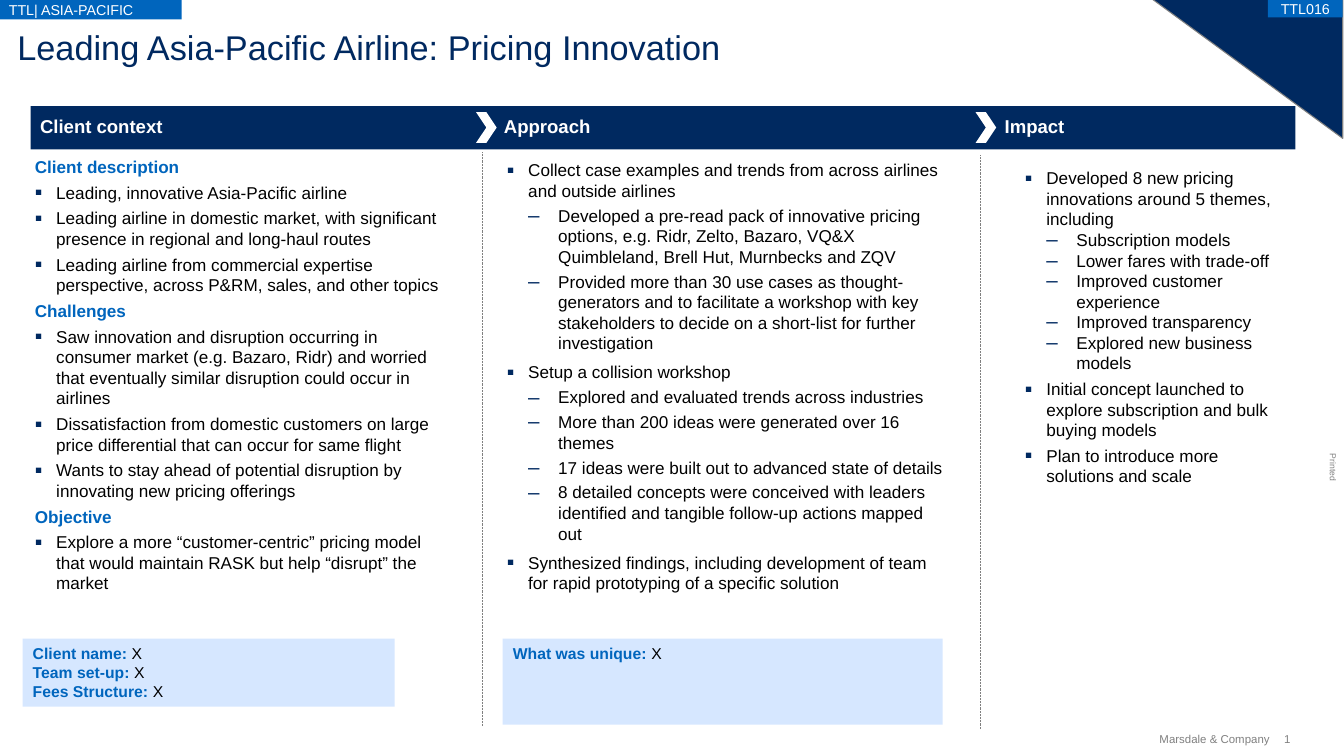
import pptx
import pptx.util
import pptx.dml.color
import pptx.enum.dml
import pptx.enum.shapes
import pptx.enum.text
import lxml.etree

Cm = pptx.util.Cm
Pt = pptx.util.Pt
Kind = pptx.enum.shapes.MSO_SHAPE
Align = pptx.enum.text.PP_ALIGN
Anchor = pptx.enum.text.MSO_ANCHOR

NAVY, BLUE, PALE = "002960", "0065BD", "D6E7FF"
GRAY, BLACK, WHITE = "808080", "000000", "FFFFFF"
MARKS = {1: ("▪", 125, 0.53, 0.53), 2: ("–", 120, 1.27, 0.74)}

CLIENT = [
    (0, "Client description"),
    (1, "Leading, innovative Asia-Pacific airline"),
    (1, "Leading airline in domestic market, with significant presence in regional and long-haul routes"),
    (1, "Leading airline from commercial expertise perspective, across P&RM, sales, and other topics"),
    (0, "Challenges"),
    (1, "Saw innovation and disruption occurring in consumer market (e.g. Bazaro, Ridr) and worried "
        "that eventually similar disruption could occur in airlines"),
    (1, "Dissatisfaction from domestic customers on large price differential that can occur for same flight"),
    (1, "Wants to stay ahead of potential disruption by innovating new pricing offerings"),
    (0, "Objective"),
    (1, "Explore a more “customer-centric” pricing model that would maintain RASK but help “disrupt” the market"),
]
APPROACH = [
    (1, "Collect case examples and trends from across airlines and outside airlines"),
    (2, "Developed a pre-read pack of innovative pricing options, e.g. Ridr, Zelto, Bazaro, VQ&X "
        "Quimbleland, Brell Hut, Murnbecks and ZQV"),
    (2, "Provided more than 30 use cases as thought-generators and to facilitate a workshop with key "
        "stakeholders to decide on a short-list for further investigation"),
    (1, "Setup a collision workshop"),
    (2, "Explored and evaluated trends across industries"),
    (2, "More than 200 ideas were generated over 16 themes"),
    (2, "17 ideas were built out to advanced state of details"),
    (2, "8 detailed concepts were conceived with leaders identified and tangible follow-up actions mapped out"),
    (1, "Synthesized findings, including development of team for rapid prototyping of a specific solution"),
]
IMPACT = [
    (1, "Developed 8 new pricing innovations around 5 themes, including"),
    (2, "Subscription models"),
    (2, "Lower fares with trade-off"),
    (2, "Improved customer experience"),
    (2, "Improved transparency"),
    (2, "Explored new business models"),
    (1, "Initial concept launched to explore subscription and bulk buying models"),
    (1, "Plan to introduce more solutions and scale"),
]


def paint(color, code):
    color.rgb = pptx.dml.color.RGBColor.from_string(code)


def style(font, size, code=None, bold=False):
    font.name = "Arial"
    font.size = Pt(size)
    font.bold = bold
    if code:
        font.fill.solid()
        paint(font.fill.fore_color, code)


def add_tag(parent, name, **attrs):
    return lxml.etree.SubElement(parent, pptx.oxml.ns.qn("a:" + name), attrs)


def add_mark(para, level):
    sign, scale, left, hang = MARKS[level]
    props = para._p.get_or_add_pPr()
    props.set("marL", str(Cm(left)))
    props.set("indent", str(-Cm(hang)))
    add_tag(add_tag(props, "buClr"), "srgbClr", val=NAVY)
    add_tag(props, "buSzPct", val=str(scale * 1000))
    add_tag(props, "buFont", typeface="Arial")
    add_tag(props, "buChar", char=sign)


def add_frame(slide, x, y, w, h, wrap=True):
    box = slide.shapes.add_textbox(Cm(x), Cm(y), Cm(w), Cm(h))
    frame = box.text_frame
    frame.margin_left = frame.margin_right = frame.margin_top = frame.margin_bottom = 0
    frame.word_wrap = wrap
    return box, frame


def add_label(slide, place, text, size, code, bold=False, wrap=True, align=Align.LEFT, anchor=Anchor.TOP):
    box, frame = add_frame(slide, *place, wrap=wrap)
    frame.vertical_anchor = anchor
    para = frame.paragraphs[0]
    para.text = text
    para.alignment = align
    style(para.font, size, code, bold)
    return box


def add_list(slide, place, items, gaps):
    frame = add_frame(slide, *place)[1]
    for index, (level, text) in enumerate(items):
        para = frame.add_paragraph() if index else frame.paragraphs[0]
        para.text = text
        para.space_before = Pt(gaps[level] if index else 0)
        if level:
            add_mark(para, level)
        style(para.font, 12, BLACK if level else BLUE, not level)


def add_block(slide, kind, place, code):
    block = slide.shapes.add_shape(kind, *map(Cm, place))
    block.shadow.inherit = False
    block.fill.solid()
    paint(block.fill.fore_color, code)
    block.line.fill.background()
    return block


def add_tab(slide, place, text, align):
    frame = add_block(slide, Kind.RECTANGLE, place, BLUE).text_frame
    frame.word_wrap = False
    frame.vertical_anchor = Anchor.MIDDLE
    para = frame.paragraphs[0]
    para.text = text
    para.alignment = align
    style(para.font, 10, WHITE)


def add_facts(slide, place, names):
    frame = add_block(slide, Kind.RECTANGLE, place, PALE).text_frame
    frame.word_wrap = True
    frame.vertical_anchor = Anchor.TOP
    for index, name in enumerate(names):
        para = frame.add_paragraph() if index else frame.paragraphs[0]
        para.alignment = Align.LEFT
        for text, code, bold in ((name + ": ", BLUE, True), ("X", BLACK, False)):
            run = para.add_run()
            run.text = text
            style(run.font, 11, code, bold)


def add_rule(slide, x, top, end):
    rule = slide.shapes.add_connector(pptx.enum.shapes.MSO_CONNECTOR.STRAIGHT, Cm(x), Cm(top), Cm(x), Cm(end))
    paint(rule.line.color, GRAY)
    rule.line.width = Pt(0.5)
    rule.line.dash_style = pptx.enum.dml.MSO_LINE.ROUND_DOT
    add_tag(rule.element.spPr, "effectLst")


def add_corner(slide):
    corner = add_block(slide, Kind.ISOSCELES_TRIANGLE, (28.45, -0.03, 4.72, 3.45), NAVY)
    corner.adjustments[0] = 1
    corner.element.spPr.xfrm.set("flipV", "1")
    paint(corner.line.color, GRAY)
    corner.line.width = Pt(0.75)


def main():
    deck = pptx.Presentation()
    deck.slide_width, deck.slide_height = Cm(33.2), Cm(18.67)
    slide = deck.slides.add_slide(deck.slide_layouts[6])

    add_label(slide, (32.59, 11.43, 0.69, 0.25), "Printed", 6, GRAY, wrap=False).rotation = 90
    add_label(slide, (31.72, 18.08, 0.36, 0.33), "1", 8, GRAY, wrap=False, anchor=Anchor.MIDDLE)
    add_label(slide, (28.55, 18.08, 2.82, 0.33), "Marsdale & Company", 8, GRAY, wrap=False,
              align=Align.RIGHT, anchor=Anchor.MIDDLE)
    add_corner(slide)
    add_label(slide, (0.43, 0.64, 31.93, 1.02), "Leading Asia-Pacific Airline: Pricing Innovation", 24, NAVY)

    add_list(slide, (12.52, 3.94, 10.95, 11.02), APPROACH, {1: 6, 2: 3})
    add_list(slide, (0.86, 3.86, 10.29, 11.13), CLIENT, {0: 3.6, 1: 3.6})
    add_list(slide, (25.32, 4.14, 6.25, 8), IMPACT, {1: 3.6, 2: 0})

    add_tab(slide, (31.32, 0, 1.85, 0.43), "TTL016", Align.CENTER)
    add_tab(slide, (-0.03, 0, 4.52, 0.48), "TTL| ASIA-PACIFIC", Align.LEFT)

    add_block(slide, Kind.RECTANGLE, (0.76, 2.62, 31.24, 1.07), NAVY)
    for x, width, text in ((0.99, 7.39, "Client context"), (12.45, 8.86, "Approach"), (24.82, 7, "Impact")):
        add_label(slide, (x, 2.84, width, 0.56), text, 13, WHITE, bold=True, anchor=Anchor.BOTTOM)
    for x in (11.76, 24.1):
        add_block(slide, Kind.CHEVRON, (x, 2.77, 0.51, 0.76), WHITE)
    add_rule(slide, 11.91, 3.76, 17.91)
    add_rule(slide, 24.21, 3.84, 18.01)

    add_facts(slide, (0.56, 15.77, 9.19, 1.68), ("Client name", "Team set-up", "Fees Structure"))
    add_facts(slide, (12.42, 15.77, 10.87, 2.13), ("What was unique",))
    deck.save("out.pptx")


if __name__ == "__main__":
    main()
